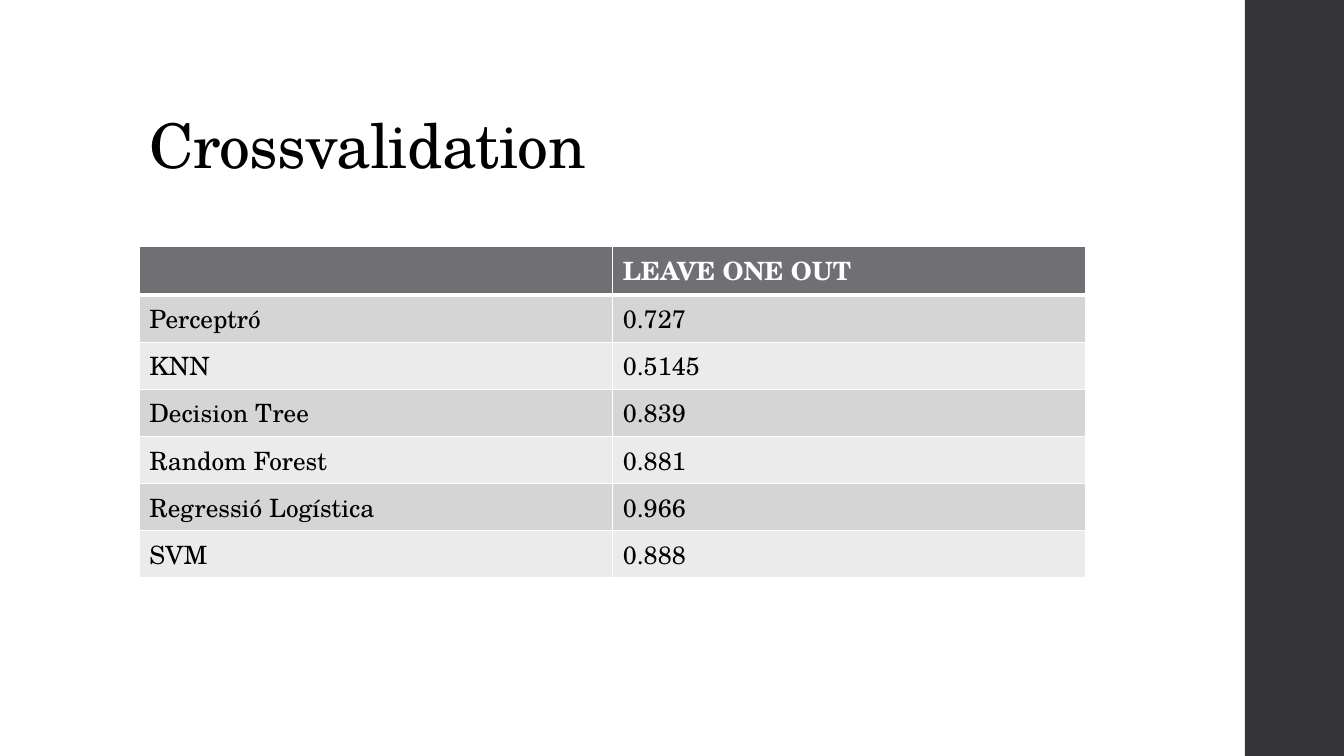
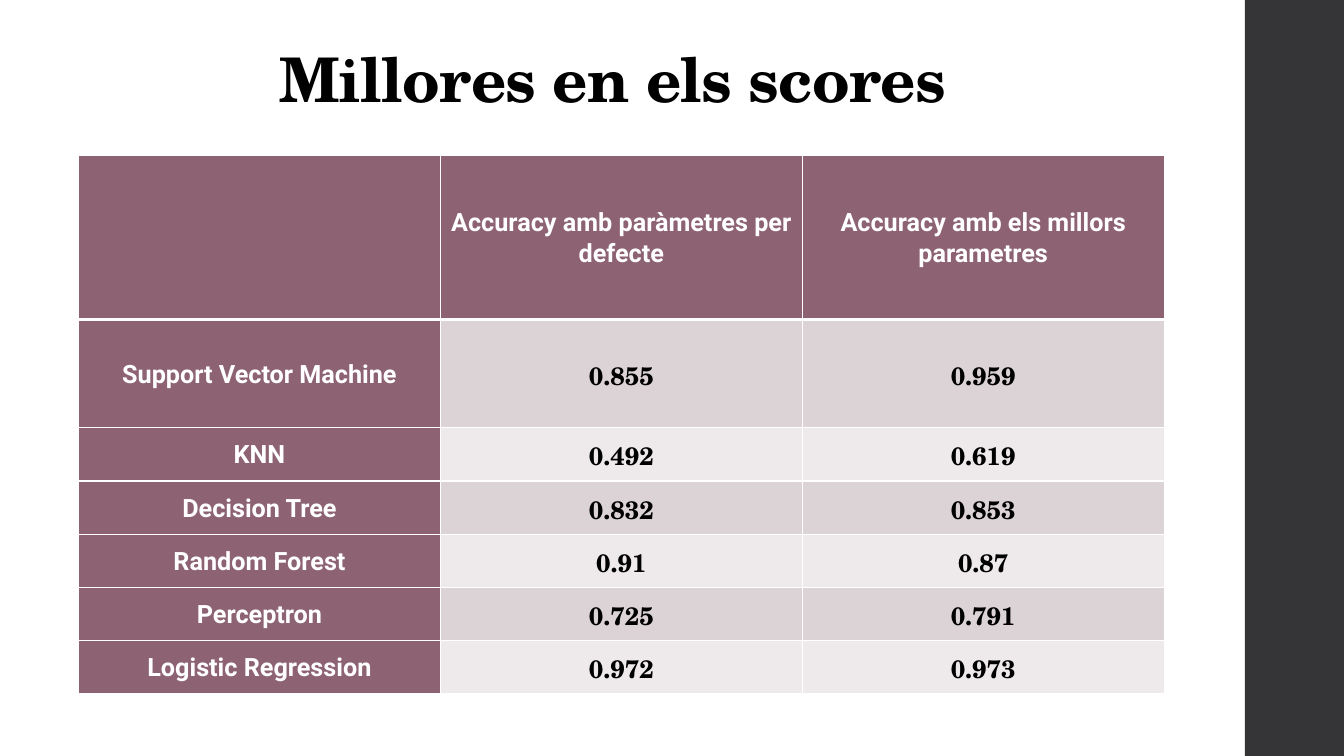
import pptx
import pptx.util
import pptx.dml.color
import pptx.enum.shapes
import pptx.enum.text
import pptx.oxml
import pptx.oxml.ns

Cm = pptx.util.Cm
Pt = pptx.util.Pt
RGBColor = pptx.dml.color.RGBColor
Align = pptx.enum.text.PP_ALIGN
Anchor = pptx.enum.text.MSO_ANCHOR

WHITE = RGBColor(0xFF, 0xFF, 0xFF)
BLACK = RGBColor(0x00, 0x00, 0x00)
DARK = RGBColor(0x35, 0x35, 0x37)
GREY = RGBColor(0x6F, 0x6F, 0x74)
GREYS = [RGBColor(0xD5, 0xD5, 0xD6), RGBColor(0xEB, 0xEB, 0xEB)]
PLUM = RGBColor(0x8D, 0x63, 0x74)
PLUMS = [RGBColor(0xDB, 0xD3, 0xD6), RGBColor(0xEE, 0xEA, 0xEB)]

SERIF = "TeX Gyre Schola"
SANS = "Roboto"

SCORES = [
    ["", "LEAVE ONE OUT"],
    ["Perceptró", "0.727"],
    ["KNN", "0.5145"],
    ["Decision Tree", "0.839"],
    ["Random Forest", "0.881"],
    ["Regressió Logística", "0.966"],
    ["SVM", "0.888"],
]

GAINS = [
    ["", "Accuracy amb paràmetres per defecte", "Accuracy amb els millors parametres"],
    ["Support Vector Machine", "0.855", "0.959"],
    ["KNN", "0.492", "0.619"],
    ["Decision Tree", "0.832", "0.853"],
    ["Random Forest", "0.91", "0.87"],
    ["Perceptron", "0.725", "0.791"],
    ["Logistic Regression", "0.972", "0.973"],
]

PLAIN = {
    "head": GREY, "bands": GREYS, "side": False,
    "font": SERIF, "bold": False, "cell": {}, "para": {},
}
RICH = {
    "head": PLUM, "bands": PLUMS, "side": True,
    "font": SANS, "bold": True,
    "cell": {
        "vertical_anchor": Anchor.MIDDLE,
        "margin_left": Cm(0.18), "margin_right": Cm(0.18),
        "margin_top": 0, "margin_bottom": 0,
    },
    "para": {"alignment": Align.CENTER, "line_spacing": 1.07, "space_after": Pt(8)},
}


def put(item, vals):
    for key, val in vals.items():
        setattr(item, key, val)


class Deck:
    def __init__(self):
        self.prs = pptx.Presentation()
        put(self.prs, {"slide_width": Cm(33.87), "slide_height": Cm(19.05)})
        self.slide = None

    def page(self):
        first = self.slide is None
        self.slide = self.prs.slides.add_slide(self.prs.slide_layouts[5])
        if first:
            self.band()

    def band(self):
        kind = pptx.enum.shapes.MSO_SHAPE.RECTANGLE
        bar = self.slide.shapes.add_shape(kind, Cm(31.37), 0, Cm(2.5), Cm(19.05))
        bar.shadow.inherit = False
        bar.fill.solid()
        bar.fill.fore_color.rgb = DARK
        bar.line.fill.background()
        bar.element.nvSpPr.cNvPr.set("id", "20")
        self.prs.slide_master.shapes.element.append(bar.element)

    def text(self, para, words, color, style, form):
        put(para, form)
        run = para.add_run()
        run.text = words
        put(run.font, style)
        run.font.color.rgb = color
        return run

    def title(self, words, left, top, bold, align, anchor):
        box = self.slide.shapes.title
        put(box, {"left": Cm(left), "top": Cm(top), "width": Cm(26.92), "height": Cm(3.68)})
        put(box.text_frame, {
            "word_wrap": True, "vertical_anchor": anchor,
            "auto_size": pptx.enum.text.MSO_AUTO_SIZE.NONE,
        })
        run = self.text(
            box.text_frame.paragraphs[0], words, BLACK,
            {"name": SERIF, "size": Pt(44), "bold": bold},
            {"alignment": align, "line_spacing": 0.9},
        )
        run.font._element.set("spc", "-50")

    def edge(self, cell, row):
        props = cell._tc.get_or_add_tcPr()
        thick = {"T": 3 if row == 1 else 1, "B": 3 if row == 0 else 1}
        for spot, side in enumerate("LRTB"):
            line = pptx.oxml.parse_xml(
                f'<a:ln{side} {pptx.oxml.ns.nsdecls("a")} w="{Pt(thick.get(side, 1))}">'
                f'<a:solidFill><a:srgbClr val="{WHITE}"/></a:solidFill></a:ln{side}>'
            )
            props.insert(spot, line)

    def table(self, data, left, top, width, highs, look):
        count = len(data[0])
        frame = self.slide.shapes.add_table(
            len(data), count, Cm(left), Cm(top), Cm(width * count), Cm(sum(highs))
        )
        grid = frame.table
        put(grid, {"first_row": False, "horz_banding": False})
        for col in grid.columns:
            col.width = Cm(width)
        for row, high in enumerate(highs):
            grid.rows[row].height = Cm(high)
            for col, words in enumerate(data[row]):
                self.cell(grid.cell(row, col), row, col, words, look)

    def cell(self, cell, row, col, words, look):
        head = row == 0 or (look["side"] and col == 0)
        put(cell, look["cell"])
        cell.fill.solid()
        cell.fill.fore_color.rgb = look["head"] if head else look["bands"][(row - 1) % 2]
        self.edge(cell, row)
        if words:
            style = {
                "name": look["font"] if head else SERIF,
                "size": Pt(18), "bold": head or look["bold"],
            }
            color = WHITE if head else BLACK
            self.text(cell.text_frame.paragraphs[0], words, color, style, look["para"])


def main():
    deck = Deck()
    deck.page()
    deck.title("Crossvalidation", 3.51, 1.02, False, Align.LEFT, Anchor.BOTTOM)
    deck.table(SCORES, 3.51, 6.2, 11.93, [1.03] * 7, PLAIN)
    deck.page()
    deck.title("Millores en els scores", 1.98, 0.23, True, Align.CENTER, Anchor.MIDDLE)
    deck.table(GAINS, 1.98, 3.91, 9.12, [4.14, 2.73] + [1.34] * 5, RICH)
    deck.prs.save("out.pptx")


if __name__ == "__main__":
    main()
